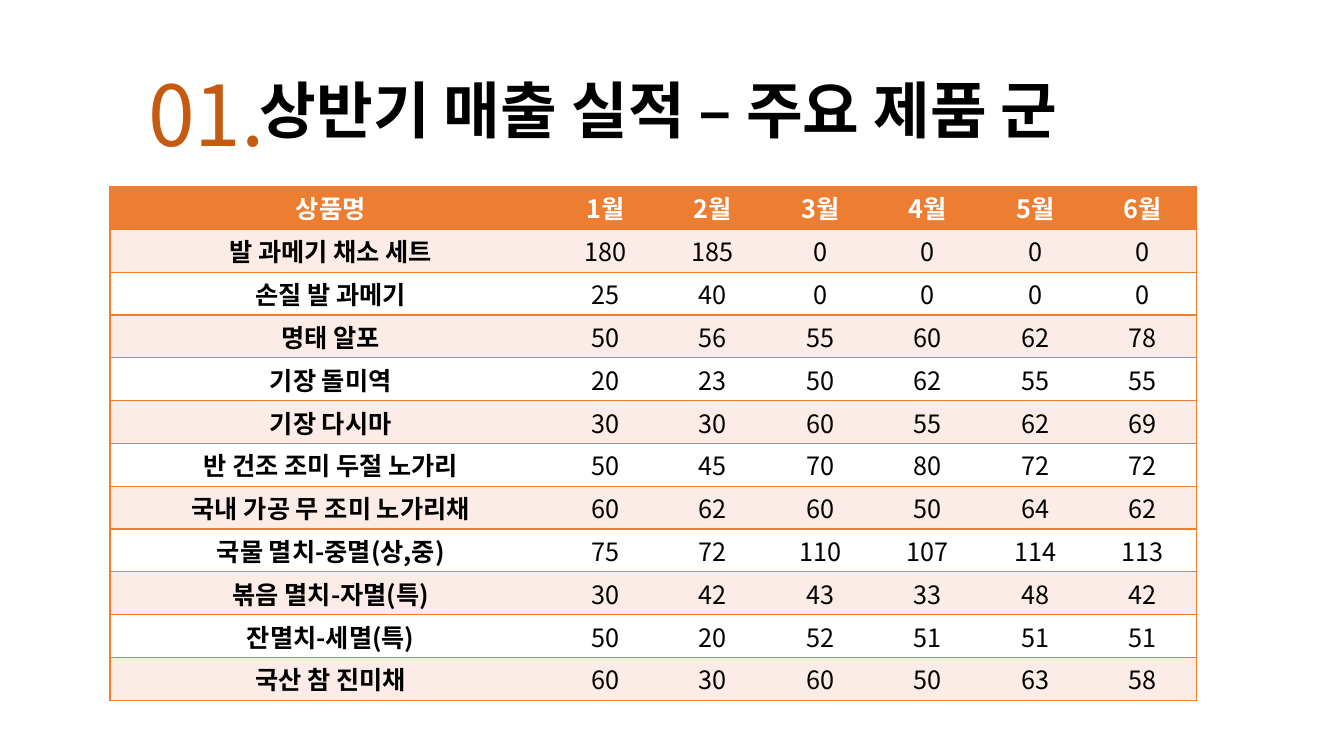
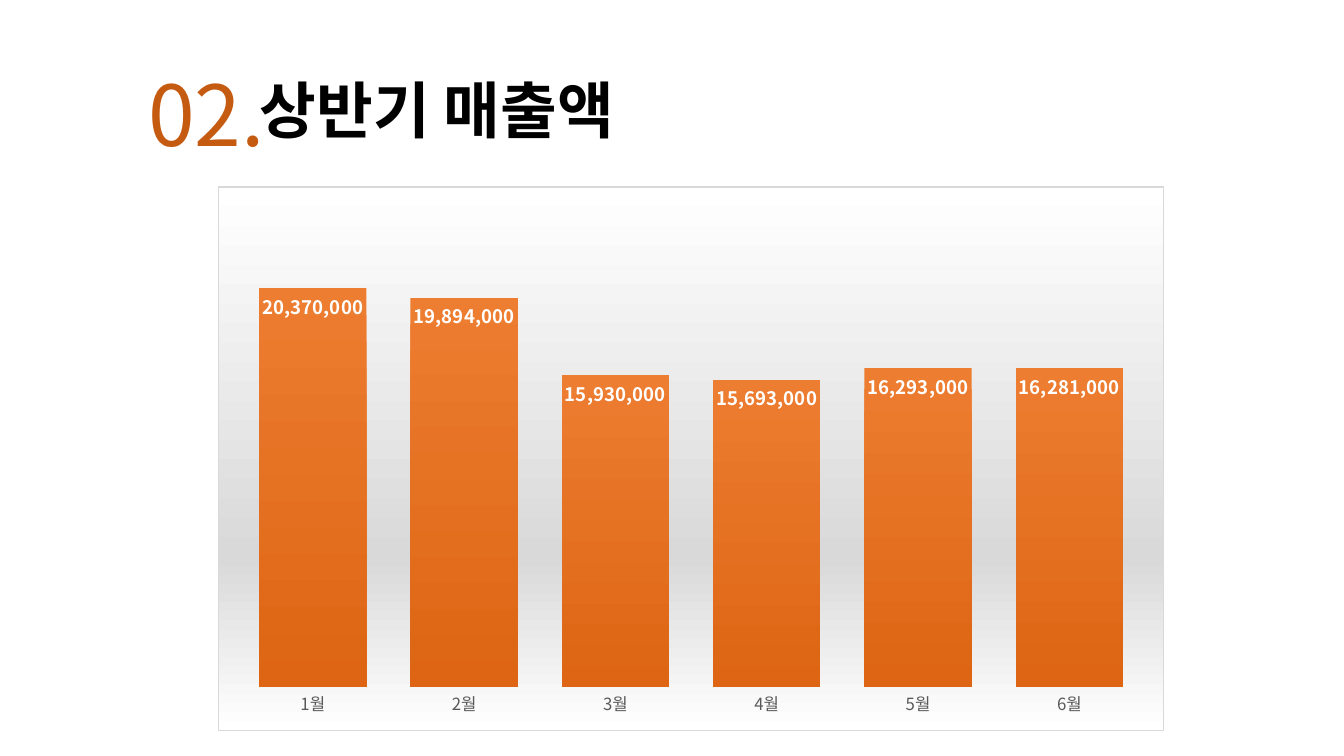
from lxml import etree
from pptx import Presentation
from pptx.chart.data import CategoryChartData
from pptx.dml.color import RGBColor
from pptx.enum.chart import XL_CHART_TYPE as Chart, XL_LABEL_POSITION as LabelPos, XL_TICK_MARK as Tick
from pptx.enum.text import MSO_ANCHOR as Anchor, MSO_AUTO_SIZE as AutoSize, PP_ALIGN as Align
from pptx.oxml import parse_xml
from pptx.oxml.ns import nsdecls, qn
from pptx.util import Inches, Pt

FONT = "Noto Sans CJK KR"
COLORS = {
    "text": "000000", "white": "FFFFFF", "number": "C55A11",
    "orange": "ED7D31", "deep": "DD6513", "band": "FCECE8",
    "grey": "D9D9D9", "axis": "595959",
}
NO_STYLE = "{2D5ABB26-0587-4C30-8999-92F81FD0307C}"
MONTHS = [f"{month}월" for month in range(1, 7)]
PRODUCTS = [
    ("발 과메기 채소 세트", 180, 185, 0, 0, 0, 0),
    ("손질 발 과메기", 25, 40, 0, 0, 0, 0),
    ("명태 알포", 50, 56, 55, 60, 62, 78),
    ("기장 돌미역", 20, 23, 50, 62, 55, 55),
    ("기장 다시마", 30, 30, 60, 55, 62, 69),
    ("반 건조 조미 두절 노가리", 50, 45, 70, 80, 72, 72),
    ("국내 가공 무 조미 노가리채", 60, 62, 60, 50, 64, 62),
    ("국물 멸치-중멸(상,중)", 75, 72, 110, 107, 114, 113),
    ("볶음 멸치-자멸(특)", 30, 42, 43, 33, 48, 42),
    ("잔멸치-세멸(특)", 50, 20, 52, 51, 51, 51),
    ("국산 참 진미채", 60, 30, 60, 50, 63, 58),
]
SALES = [20370000, 19894000, 15930000, 15693000, 16293000, 16281000]


def rgb(name):
    return RGBColor.from_string(COLORS[name])


def solid_xml(name):
    return f'<a:solidFill><a:srgbClr val="{COLORS[name]}"/></a:solidFill>'


def gradient_xml(*stops):
    """Vertical gradient from (percent, colour) stops."""
    gs = "".join(f'<a:gs pos="{pos * 1000}"><a:srgbClr val="{COLORS[name]}"/></a:gs>'
                 for pos, name in stops)
    return (f'<a:gradFill {nsdecls("a")} rotWithShape="1"><a:gsLst>{gs}</a:gsLst>'
            '<a:lin ang="5400000" scaled="0"/></a:gradFill>')


class Deck:
    def __init__(self):
        self.prs = Presentation()
        self.prs.slide_width, self.prs.slide_height = Inches(13.33), Inches(7.5)
        self.s = None

    def slide(self, number, title):
        self.s = self.prs.slides.add_slide(self.prs.slide_layouts[6])
        tf = self.text(title, (2.48, 0.4, 9.29, 1.45), 44, "text", bold=True)
        tf.vertical_anchor = Anchor.MIDDLE
        tf.paragraphs[0].line_spacing = 0.9
        tf = self.text(number, (1.37, 0.57, 1.43, 1.11), 60, "number")
        tf.word_wrap = False
        tf.auto_size = AutoSize.SHAPE_TO_FIT_TEXT

    def font(self, font, size, color, bold=False):
        font.size, font.bold, font.name = Pt(size), bold, FONT
        font.color.rgb = rgb(color)

    def paragraph(self, p, text, size, color, bold=False):
        p.text = text
        self.font(p.font, size, color, bold)
        # Hangul takes the East Asian font
        props = p._p.get_or_add_pPr().get_or_add_defRPr()
        etree.SubElement(props, qn("a:ea"), typeface=FONT)

    def text(self, text, at, size, color, bold=False):
        tf = self.s.shapes.add_textbox(*map(Inches, at)).text_frame
        tf.word_wrap = True
        self.paragraph(tf.paragraphs[0], text, size, color, bold)
        return tf

    def borders(self, cell, sides):
        props = cell._tc.get_or_add_tcPr()
        for i, side in enumerate(sides):
            props.insert(i, parse_xml(
                f'<a:ln{side} {nsdecls("a")} w="12700">{solid_xml("orange")}</a:ln{side}>'))

    def table(self, rows, at, first_width):
        count = len(rows[0])
        width, height = at[2:]
        table = self.s.shapes.add_table(len(rows), count, *map(Inches, at)).table
        table._tbl.tblPr.find(qn("a:tableStyleId")).text = NO_STYLE
        for c, column in enumerate(table.columns):
            column.width = Inches((width - first_width) / (count - 1) if c else first_width)
        for r, values in enumerate(rows):
            table.rows[r].height = Inches(height / len(rows))
            fill = "orange" if r == 0 else "band" if r % 2 else "white"
            for c, value in enumerate(values):
                cell = table.cell(r, c)
                cell.margin_top = cell.margin_bottom = 0
                cell.vertical_anchor = Anchor.MIDDLE
                cell.fill.solid()
                cell.fill.fore_color.rgb = rgb(fill)
                p = cell.text_frame.paragraphs[0]
                self.paragraph(p, str(value), 18, "text" if r else "white", bold=r == 0 or c == 0)
                p.alignment = Align.CENTER
                self.borders(cell, "L" * (c == 0) + "R" * (c == count - 1) + "TB")

    def column_chart(self, categories, values, at):
        data = CategoryChartData(number_format="#,##0")
        data.categories = categories
        data.add_series("Series 1", values)
        chart = self.s.shapes.add_chart(Chart.COLUMN_CLUSTERED, *map(Inches, at), data).chart
        chart.has_title = chart.has_legend = False
        self.font(chart.font, 10, "text")

        # Axes
        axis = chart.category_axis
        axis.major_tick_mark = axis.minor_tick_mark = Tick.NONE
        axis.format.line.fill.background()
        self.font(axis.tick_labels.font, 12, "axis")
        axis = chart.value_axis
        axis.minimum_scale, axis.maximum_scale = 0, 25000000
        axis.has_major_gridlines = axis.visible = False

        # Columns and their labels
        plot = chart.plots[0]
        plot.gap_width, plot.vary_by_categories = 41, False
        series = plot.series[0]
        series._element.get_or_add_spPr().append(
            parse_xml(gradient_xml((0, "orange"), (100, "deep"))))
        labels = series.data_labels
        labels.show_value, labels.position = True, LabelPos.INSIDE_END
        labels.number_format, labels.number_format_is_linked = "#,##0", False
        self.font(labels.font, 13.3, "white", bold=True)

        # Background and plot area
        body = chart._chartSpace.find(qn("c:chart"))
        background = gradient_xml((0, "white"), (68, "grey"), (100, "white"))
        body.addnext(parse_xml(
            f'<c:spPr {nsdecls("c", "a")}>{background}'
            f'<a:ln w="9525">{solid_xml("grey")}</a:ln></c:spPr>'))
        area = body.find(qn("c:plotArea"))
        for layout in area.findall(qn("c:layout")):
            area.remove(layout)
        place = "".join(f'<c:{tag} val="{val}"/>' for tag, val in (
            ("layoutTarget", "inner"), ("xMode", "edge"), ("yMode", "edge"),
            ("x", 0.02), ("y", 0.02), ("w", 0.96), ("h", 0.9)))
        area.insert(0, parse_xml(
            f'<c:layout {nsdecls("c")}><c:manualLayout>{place}</c:manualLayout></c:layout>'))


def main():
    deck = Deck()

    # Units sold by product
    deck.slide("01.", "상반기 매출 실적 – 주요 제품 군")
    deck.table([("상품명", *MONTHS), *PRODUCTS], (1.09, 1.85, 10.78, 5.1), 4.38)

    # Sales by month
    deck.slide("02.", "상반기 매출액")
    deck.column_chart(MONTHS, SALES, (2.16, 1.85, 9.39, 5.4))

    deck.prs.save("out.pptx")


if __name__ == "__main__":
    main()
